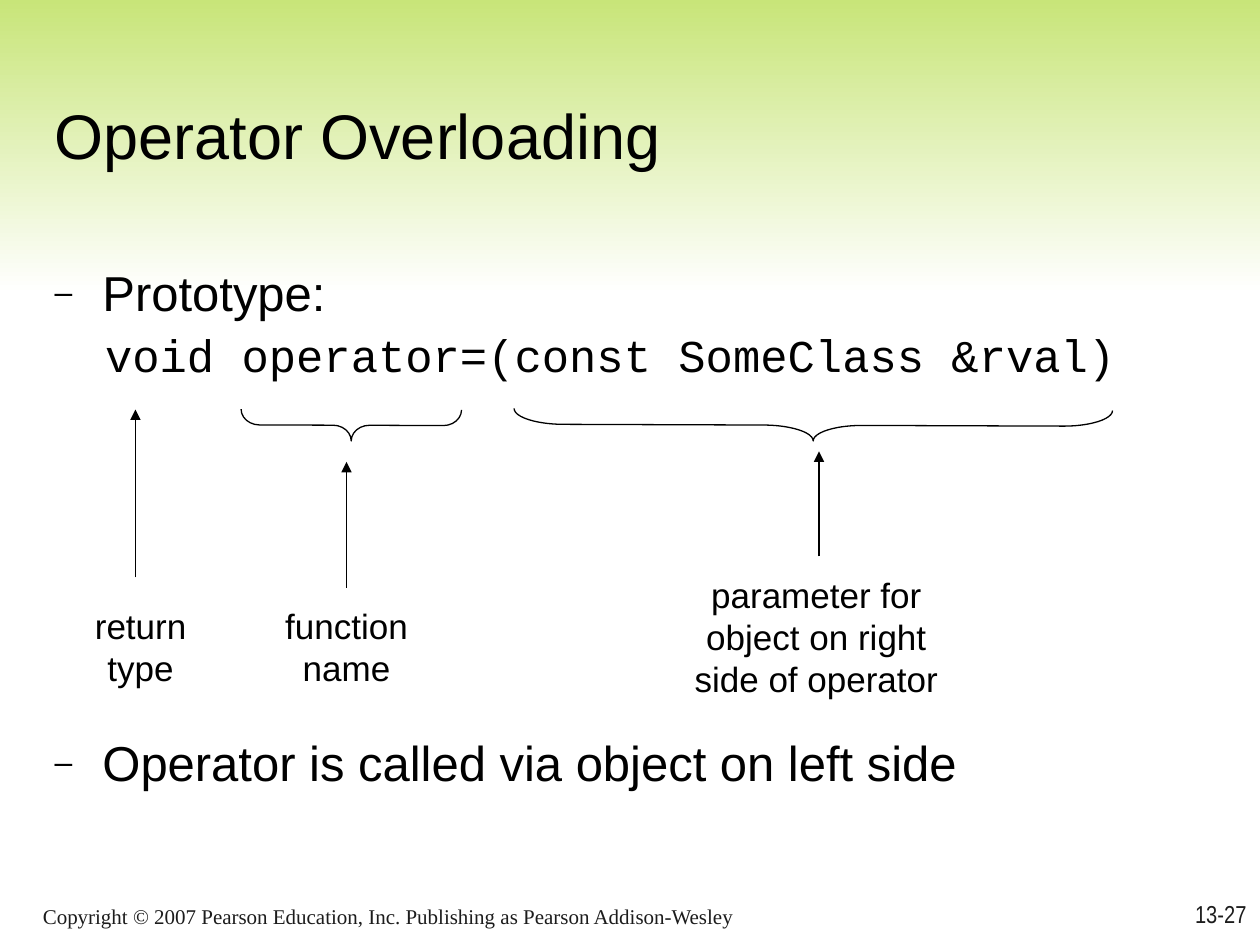
"""Build the slide that explains the prototype of an overloaded operator."""
import pptx
import pptx.util
import pptx.dml.color
import pptx.enum.shapes
import pptx.enum.text
import pptx.oxml
import pptx.oxml.ns

COLORS = {"ink": "000000", "footer": "1C1C1C", "band": "C8E579", "page": "FFFFFF"}
ALIGN = pptx.enum.text.PP_ALIGN
ANCHOR = pptx.enum.text.MSO_ANCHOR
AUTO_SIZE = pptx.enum.text.MSO_AUTO_SIZE
SHAPE = pptx.enum.shapes.MSO_SHAPE
NAMESPACE = pptx.oxml.ns.nsdecls("a")

presentation = pptx.Presentation()
presentation.slide_width = pptx.util.Inches(10)
presentation.slide_height = pptx.util.Inches(7.5)
column = presentation.slide_width / 120
row = presentation.slide_height / 90
slide = presentation.slides.add_slide(presentation.slide_layouts[1])


def grid(left, top, width, height):
    return [int(left * column), int(top * row), int(width * column), int(height * row)]


def write(paragraph, text, size, font="Arial", color="ink", align=ALIGN.LEFT):
    paragraph.alignment = align
    run = paragraph.add_run()
    run.text = text
    run.font.size = pptx.util.Pt(size)
    run.font.name = font
    run.font.color.rgb = pptx.dml.color.RGBColor.from_string(COLORS[color])


band = slide.shapes.add_shape(SHAPE.RECTANGLE, *grid(0, 0, 120, 28))
band.shadow.inherit = False
band.line.fill.background()
band.fill.gradient()
band.fill.gradient_angle = 270
for stop, position, name in zip(band.fill.gradient_stops, (0, 1), ("band", "page")):
    stop.position = position
    stop.color.rgb = pptx.dml.color.RGBColor.from_string(COLORS[name])
slide.shapes._spTree.insert(2, band._element)

title = slide.shapes.title
body = slide.placeholders[1]
for placeholder, place, anchor in (
    (title, (4, 4, 101.6, 13), ANCHOR.BOTTOM),
    (body, (4, 25, 108.8, 54.6), ANCHOR.TOP),
):
    placeholder.left, placeholder.top, placeholder.width, placeholder.height = grid(*place)
    placeholder.text_frame.vertical_anchor = anchor
    placeholder.text_frame.auto_size = AUTO_SIZE.NONE
    placeholder.text_frame.word_wrap = True
write(title.text_frame.paragraphs[0], "Operator Overloading", 36)

body.text_frame.margin_right = 0
body_lines = (
    ("Prototype:", 28, "Arial", True, 0),
    ("void operator=(const SomeClass &rval)", 26, "Courier New", False, 6.5),
    ("Operator is called via object on left side", 28, "Arial", True, 204),
)
for index, (text, size, font, bulleted, gap) in enumerate(body_lines):
    paragraph = body.text_frame.add_paragraph() if index else body.text_frame.paragraphs[0]
    properties = paragraph._p.get_or_add_pPr()
    margin = pptx.util.Inches(0.38 if bulleted else 0.4)
    properties.set("marL", str(margin))
    properties.set("indent", str(-margin if bulleted else 0))
    bullet = (
        f'<a:buClr {NAMESPACE}><a:srgbClr val="{COLORS["ink"]}"/></a:buClr>',
        f'<a:buSzPct {NAMESPACE} val="65000"/>',
        f'<a:buFont {NAMESPACE} typeface="Arial"/>',
        f'<a:buChar {NAMESPACE} char="–"/>',
    )
    for markup in bullet if bulleted else (f"<a:buNone {NAMESPACE}/>",):
        properties.append(pptx.oxml.parse_xml(markup))
    paragraph.line_spacing = 0.9
    paragraph.space_before = pptx.util.Pt(gap)
    write(paragraph, text, size, font)

footers = (
    ("13-27", (94.9, 83, 25, 6), 14, "Arial Narrow", ALIGN.RIGHT),
    ("Copyright © 2007 Pearson Education, Inc. Publishing as Pearson Addison-Wesley",
     (2.9, 84, 71, 5), 12, "Times New Roman", ALIGN.LEFT),
)
for text, place, size, font, align in footers:
    frame = slide.shapes.add_textbox(*grid(*place)).text_frame
    frame.word_wrap = True
    frame.vertical_anchor = ANCHOR.BOTTOM
    write(frame.paragraphs[0], text, size, font, "footer", align)

labels = (
    (("return", "type"), (7.4, 57, 12, 9.2)),
    (("function", "name"), (25.5, 57, 15, 9.2)),
    (("parameter for", "object on right", "side of operator"), (64.5, 54, 26.5, 13.2)),
)
for lines, place in labels:
    frame = slide.shapes.add_textbox(*grid(*place)).text_frame
    frame.word_wrap = False
    frame.auto_size = AUTO_SIZE.SHAPE_TO_FIT_TEXT
    for index, text in enumerate(lines):
        paragraph = frame.add_paragraph() if index else frame.paragraphs[0]
        write(paragraph, text, 20, align=ALIGN.CENTER)

brace_middle, brace_depth = 40.5, 3
for center, length, curve in ((33.45, 21, 0.58), (77.45, 57, 1.58)):
    brace = slide.shapes.add_shape(SHAPE.RIGHT_BRACE, *grid(
        center - brace_depth / 2, brace_middle - length / 2, brace_depth, length))
    brace.rotation = 90.2
    brace.adjustments[0] = curve
    brace.shadow.inherit = False
    brace.fill.background()
    brace.line.width = pptx.util.Pt(0.75)
    brace.line.color.rgb = pptx.dml.color.RGBColor.from_string(COLORS["ink"])

for x, start, end in ((12.9, 55, 39), (33, 56, 44), (78, 53, 43)):
    arrow = slide.shapes.add_connector(
        pptx.enum.shapes.MSO_CONNECTOR.STRAIGHT,
        int(x * column), int(start * row), int(x * column), int(end * row))
    arrow.line.width = pptx.util.Pt(0.75)
    arrow.line.color.rgb = pptx.dml.color.RGBColor.from_string(COLORS["ink"])
    arrow.line._get_or_add_ln().append(
        pptx.oxml.parse_xml(f'<a:tailEnd {NAMESPACE} type="triangle"/>'))
    arrow._element.spPr.append(pptx.oxml.parse_xml(f"<a:effectLst {NAMESPACE}/>"))

presentation.save("out.pptx")
